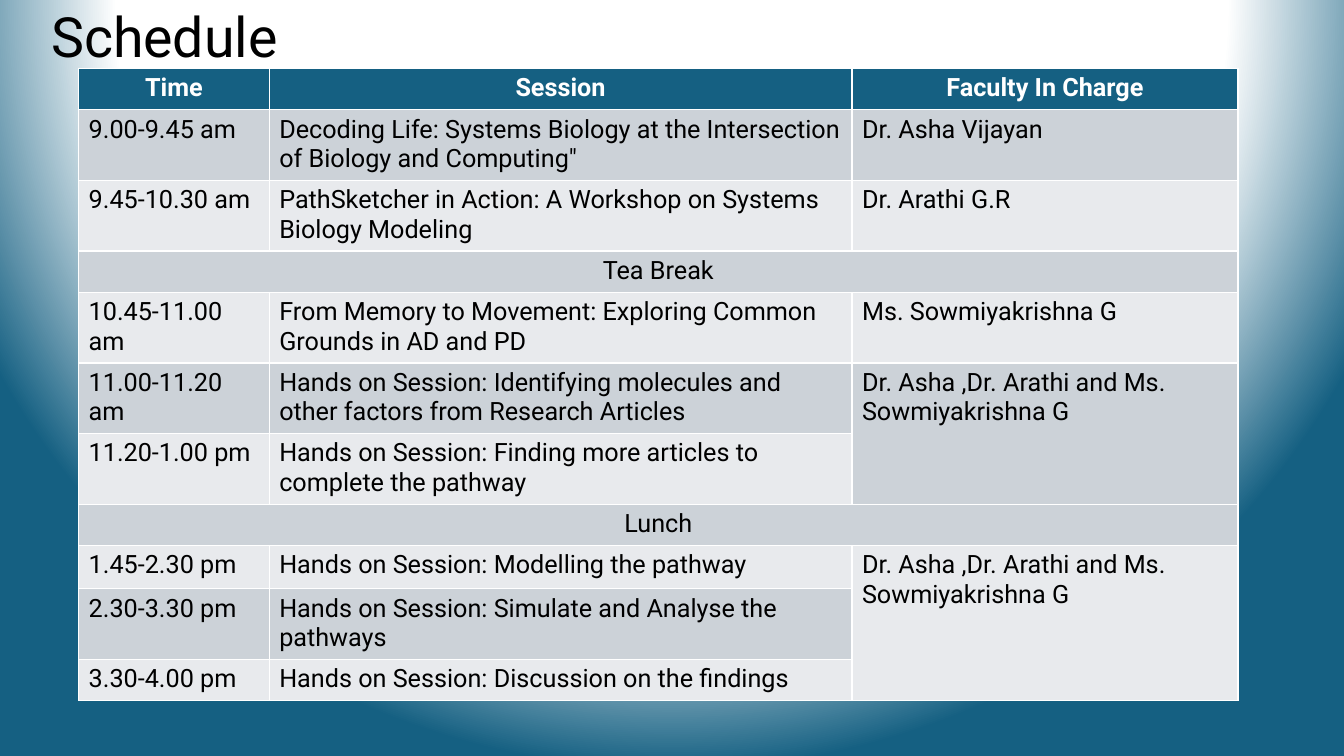
from dataclasses import dataclass

from pptx import Presentation
from pptx.dml.color import RGBColor
from pptx.enum.text import MSO_ANCHOR, PP_ALIGN
from pptx.oxml import parse_xml
from pptx.oxml.ns import nsdecls
from pptx.util import Inches, Pt

LEFT, CENTER = PP_ALIGN.LEFT, PP_ALIGN.CENTER
MIDDLE = MSO_ANCHOR.MIDDLE
BLANK_LAYOUT = 6


@dataclass(frozen=True)
class Theme:
    """Colours, font and type sizes of the slide."""
    font: str = "Roboto"
    ink: str = "000000"
    paper: str = "FFFFFF"
    accent: str = "156082"
    bands: tuple = ("CCD2D8", "E8EAED")
    title_size: float = 39.6
    table_size: float = 18


THEME = Theme()
COLUMN_WIDTHS = (1.89, 5.78, 3.83)
ROW_HEIGHT = 0.41
MODELLING_ROW, MODELLING_HEIGHT = 8, 0.43
HEADINGS = ("Time", "Session", "Faculty In Charge")
TEAM = "Dr. Asha ,Dr. Arathi and Ms. Sowmiyakrishna G"
SESSIONS = (
    ("9.00-9.45 am",
     'Decoding Life: Systems Biology at the Intersection of Biology and Computing"',
     "Dr. Asha Vijayan"),
    ("9.45-10.30 am",
     "PathSketcher in Action: A Workshop on Systems Biology Modeling",
     "Dr. Arathi G.R"),
    ("Tea Break",),
    ("10.45-11.00 am",
     "From Memory to Movement: Exploring Common Grounds in AD and PD",
     "Ms. Sowmiyakrishna G"),
    ("11.00-11.20 am",
     "Hands on Session: Identifying molecules and other factors from Research Articles",
     TEAM),
    ("11.20-1.00 pm",
     "Hands on Session: Finding more articles to complete the pathway"),
    ("Lunch",),
    ("1.45-2.30 pm", "Hands on Session: Modelling the pathway", TEAM),
    ("2.30-3.30 pm", "Hands on Session: Simulate and Analyse the pathways"),
    ("3.30-4.00 pm", "Hands on Session: Discussion on the findings"),
)
FACULTY_SPANS = ((5, 6), (8, 10))


def paint_background(slide):
    """Fill the background with a circular white-to-accent gradient."""
    stops = ((0, THEME.paper), (72, THEME.paper), (100, THEME.accent))
    stop_xml = "".join(
        f'<a:gs pos="{position * 1000}"><a:srgbClr val="{color}"/></a:gs>'
        for position, color in stops)
    slide.element.cSld.insert(0, parse_xml(
        f'<p:bg {nsdecls("p", "a")}><p:bgPr><a:gradFill rotWithShape="1">'
        f'<a:gsLst>{stop_xml}</a:gsLst><a:path path="circle">'
        '<a:fillToRect l="50000" t="-80000" r="50000" b="180000"/>'
        '</a:path></a:gradFill><a:effectLst/></p:bgPr></p:bg>'))


def style_paragraph(paragraph, size, color, bold=False, align=LEFT):
    """Set the type and alignment of a paragraph."""
    paragraph.alignment = align
    font = paragraph.font
    font.name, font.size, font.bold = THEME.font, Pt(size), bold
    font.color.rgb = RGBColor.from_string(color)


def add_title(slide, text):
    """Add the slide heading."""
    heading = slide.shapes.add_textbox(
        Inches(0.41), Inches(0.12), Inches(11.5), Inches(0.55))
    frame = heading.text_frame
    frame.word_wrap = True
    frame.vertical_anchor = MIDDLE
    paragraph = frame.paragraphs[0]
    paragraph.text = text
    paragraph.line_spacing = 0.9
    style_paragraph(paragraph, THEME.title_size, THEME.ink)


def fill_row(schedule, row, texts):
    """Write and colour one row, centring the header and the breaks."""
    is_header, is_break = row == 0, len(texts) == 1
    band = THEME.accent if is_header else THEME.bands[(row - 1) % 2]
    for column in range(len(HEADINGS)):
        cell = schedule.cell(row, column)
        cell.fill.solid()
        cell.fill.fore_color.rgb = RGBColor.from_string(band)
        if column < len(texts):
            cell.text = texts[column]
        style_paragraph(cell.text_frame.paragraphs[0], THEME.table_size,
                        THEME.paper if is_header else THEME.ink, is_header,
                        CENTER if is_header or is_break else LEFT)
    if is_break:
        schedule.cell(row, 0).merge(schedule.cell(row, len(HEADINGS) - 1))


def add_schedule(slide):
    """Add the timetable with its merged breaks and faculty cells."""
    rows = (HEADINGS, *SESSIONS)
    timetable = slide.shapes.add_table(
        len(rows), len(HEADINGS),
        Inches(0.78), Inches(0.68), Inches(11.5), Inches(6.25))
    schedule = timetable.table
    for column, width in zip(schedule.columns, COLUMN_WIDTHS):
        column.width = Inches(width)
    for row, texts in enumerate(rows):
        schedule.rows[row].height = Inches(
            MODELLING_HEIGHT if row == MODELLING_ROW else ROW_HEIGHT)
        fill_row(schedule, row, texts)
    for first, last in FACULTY_SPANS:
        schedule.cell(first, 2).merge(schedule.cell(last, 2))
    timetable.height = Inches(6.25)


def main():
    """Build and save the schedule slide."""
    presentation = Presentation()
    presentation.slide_width = Inches(13.33)
    presentation.slide_height = Inches(7.5)
    slide = presentation.slides.add_slide(
        presentation.slide_layouts[BLANK_LAYOUT])
    paint_background(slide)
    add_title(slide, "Schedule")
    add_schedule(slide)
    presentation.save("out.pptx")


if __name__ == "__main__":
    main()
